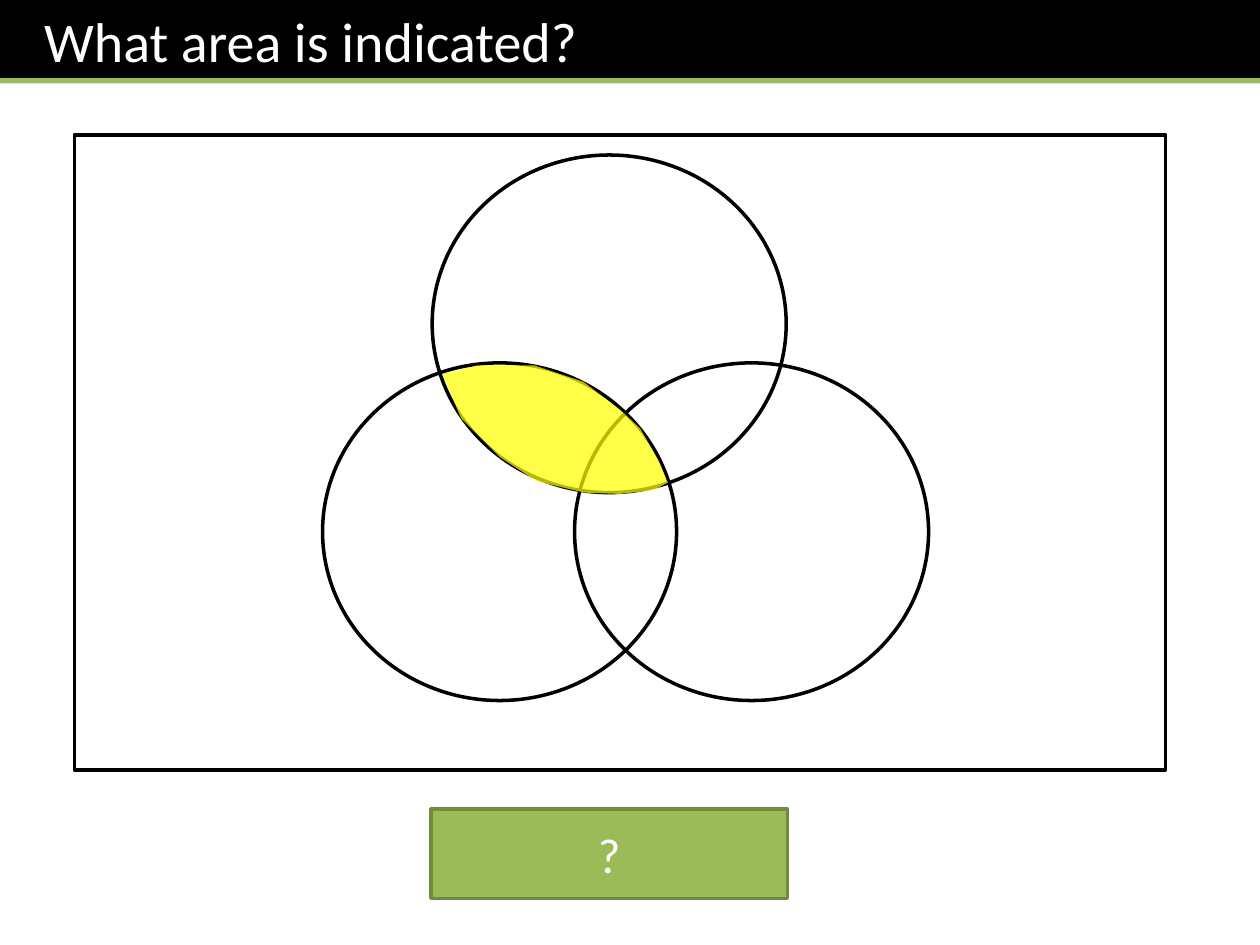
from lxml import etree
from pptx import Presentation
from pptx.dml.color import RGBColor
from pptx.enum.shapes import MSO_CONNECTOR, MSO_SHAPE
from pptx.enum.text import MSO_ANCHOR, MSO_AUTO_SIZE, PP_ALIGN
from pptx.oxml.ns import qn
from pptx.util import Inches, Pt

OVAL = MSO_SHAPE.OVAL
RECTANGLE = MSO_SHAPE.RECTANGLE
STRAIGHT = MSO_CONNECTOR.STRAIGHT
TOP, MIDDLE = MSO_ANCHOR.TOP, MSO_ANCHOR.MIDDLE
LEFT, CENTER = PP_ALIGN.LEFT, PP_ALIGN.CENTER
NO_AUTOFIT = MSO_AUTO_SIZE.NONE

BLACK = RGBColor(0x00, 0x00, 0x00)
WHITE = RGBColor(0xFF, 0xFF, 0xFF)
GREEN = RGBColor(0x9B, 0xBB, 0x59)
DARK_GREEN = RGBColor(0x73, 0x8A, 0x42)
YELLOW = RGBColor(0xFF, 0xFF, 0x00)

FONT = "Calibri"
SLIDE_WIDTH, SLIDE_HEIGHT = 10, 7.5
CIRCLE_WIDTH, CIRCLE_HEIGHT = 2.81, 2.68
LOWER_TOP = 2.88
CIRCLE_CORNERS = [(3.43, 1.23), (2.56, LOWER_TOP), (4.56, LOWER_TOP)]
OVERLAP_POINTS = [
    (3.51, 2.97), (3.66, 3.32), (3.97, 3.63), (4.26, 3.82), (4.64, 3.91),
    (4.92, 3.92), (5.19, 3.89), (5.3, 3.83), (5.23, 3.66), (5.08, 3.4),
    (4.92, 3.25), (4.63, 3.03), (4.24, 2.9), (3.79, 2.9),
]


def write_text(shape, text, size, alignment, anchor):
    frame = shape.text_frame
    frame.text = text
    frame.word_wrap = True
    frame.auto_size = NO_AUTOFIT
    frame.vertical_anchor = anchor
    paragraph = frame.paragraphs[0]
    paragraph.alignment = alignment
    paragraph.font.name = FONT
    paragraph.font.size = Pt(size)
    paragraph.font.color.rgb = WHITE


def add_title(slide, text, height):
    title = slide.shapes.title
    title.left, title.top = 0, 0
    title.width, title.height = Inches(SLIDE_WIDTH), Inches(height)
    title.fill.solid()
    title.fill.fore_color.rgb = BLACK
    write_text(title, text, 32, LEFT, TOP)
    title.text_frame.margin_left = Inches(0.35)


def add_rule(slide, y):
    rule = slide.shapes.add_connector(
        STRAIGHT, 0, Inches(y), Inches(SLIDE_WIDTH), Inches(y))
    rule.line.color.rgb = GREEN
    rule.line.width = Pt(3)
    etree.SubElement(rule._element.spPr, qn("a:effectLst"))


def add_outline(slide, kind, left, top, width, height, color=BLACK):
    shape = slide.shapes.add_shape(
        kind, Inches(left), Inches(top), Inches(width), Inches(height))
    shape.shadow.inherit = False
    shape.fill.background()
    shape.line.color.rgb = color
    shape.line.width = Pt(2)
    return shape


def add_overlap(slide, points, opacity):
    vertices = [(Inches(x), Inches(y)) for x, y in points]
    builder = slide.shapes.build_freeform(*vertices[0])
    builder.add_line_segments(vertices[1:], close=True)
    overlap = builder.convert_to_shape()
    overlap.shadow.inherit = False
    overlap.line.fill.background()
    overlap.fill.solid()
    overlap.fill.fore_color.rgb = YELLOW
    color = overlap._element.spPr.find(qn("a:solidFill"))[0]
    etree.SubElement(color, qn("a:alpha"), val=str(opacity * 1000))


def add_answer_box(slide, text):
    box = add_outline(slide, RECTANGLE, 3.42, 6.42, 2.83, 0.71, DARK_GREEN)
    box.fill.solid()
    box.fill.fore_color.rgb = GREEN
    write_text(box, text, 28, CENTER, MIDDLE)


def main():
    presentation = Presentation()
    presentation.slide_width = Inches(SLIDE_WIDTH)
    presentation.slide_height = Inches(SLIDE_HEIGHT)
    title_only = presentation.slide_layouts.get_by_name("Title Only")
    slide = presentation.slides.add_slide(title_only)
    add_title(slide, "What area is indicated?", 0.66)
    for left, top in CIRCLE_CORNERS:
        add_outline(slide, OVAL, left, top, CIRCLE_WIDTH, CIRCLE_HEIGHT)
    add_overlap(slide, OVERLAP_POINTS, 72)
    add_outline(slide, RECTANGLE, 0.59, 1.07, 8.66, 5.04)
    add_answer_box(slide, "?")
    add_rule(slide, 0.64)
    presentation.save("out.pptx")


if __name__ == "__main__":
    main()
